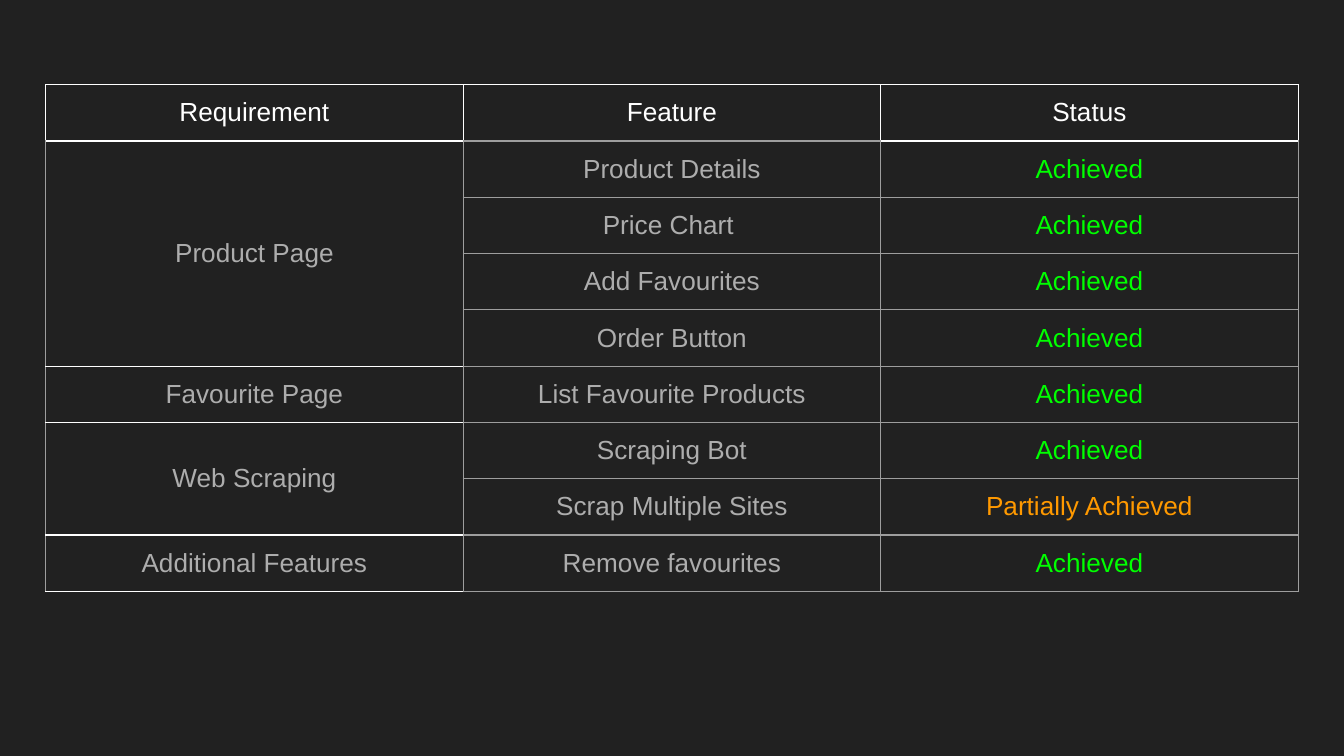
from lxml import etree
from pptx import Presentation
from pptx.dml.color import RGBColor
from pptx.enum.text import MSO_ANCHOR, PP_ALIGN
from pptx.oxml.ns import qn
from pptx.util import Inches, Pt

MIDDLE = MSO_ANCHOR.MIDDLE
CENTER = PP_ALIGN.CENTER

COLORS = {
    "background": "212121",
    "header": "FFFFFF",
    "body": "ADADAD",
    "grid": "9E9E9E",
    "Achieved": "00FF00",
    "Partially Achieved": "FF9900",
}
HEADINGS = ("Requirement", "Feature", "Status")
REQUIREMENTS = {
    "Product Page": [
        ("Product Details", "Achieved"),
        ("Price Chart ", "Achieved"),
        ("Add Favourites", "Achieved"),
        ("Order Button", "Achieved"),
    ],
    "Favourite Page": [("List Favourite Products", "Achieved")],
    "Web Scraping": [
        ("Scraping Bot", "Achieved"),
        ("Scrap Multiple Sites", "Partially Achieved"),
    ],
    "Additional Features": [("Remove favourites", "Achieved")],
}
CELL_FORMAT = {
    "vertical_anchor": MIDDLE,
    "margin_left": Inches(0.1),
    "margin_right": Inches(0.1),
    "margin_top": Inches(0.1),
    "margin_bottom": Inches(0.1),
}
FONT_FORMAT = {"name": "Arial", "size": Pt(14), "bold": False}


def edge_colors(row, column):
    """Return the colour name of each edge of a cell."""
    edges = dict.fromkeys("LRTB", "grid")
    if row == 0:
        edges.update(dict.fromkeys("LRT", "header"))
    if column == 0 or (row == 0 and column == 2):
        edges.update(T="header", B="header")
    if row == 1 and column == 2:
        edges["T"] = "header"
    return edges


def style_cell(cell, edges):
    """Set the margins, borders and empty fill of a cell."""
    for attribute, value in CELL_FORMAT.items():
        setattr(cell, attribute, value)
    properties = cell._tc.get_or_add_tcPr()
    for side, color in edges.items():
        line = etree.SubElement(properties, qn(f"a:ln{side}"), w=str(Pt(0.75)))
        fill = etree.SubElement(line, qn("a:solidFill"))
        etree.SubElement(fill, qn("a:srgbClr"), val=COLORS[color])
    cell.fill.background()


def write_cell(cell, text, color):
    """Write centred text of the named colour into a cell."""
    paragraph = cell.text_frame.paragraphs[0]
    paragraph.alignment = CENTER
    run = paragraph.add_run()
    run.text = text
    for attribute, value in FONT_FORMAT.items():
        setattr(run.font, attribute, value)
    run.font.color.rgb = RGBColor.from_string(COLORS[color])


def add_status_table(slide, left, top, width, row_height):
    """Place the table of requirements, features and their status."""
    row_count = 1 + sum(len(features) for features in REQUIREMENTS.values())
    table = slide.shapes.add_table(
        row_count, len(HEADINGS), Inches(left), Inches(top),
        Inches(width), Inches(row_height * row_count),
    ).table
    table.first_row = False
    table.horz_banding = False

    for row in range(row_count):
        for column in range(len(HEADINGS)):
            style_cell(table.cell(row, column), edge_colors(row, column))
    for column, heading in enumerate(HEADINGS):
        write_cell(table.cell(0, column), heading, "header")

    first = 1
    for requirement, features in REQUIREMENTS.items():
        last = first + len(features) - 1
        if last > first:
            table.cell(first, 0).merge(table.cell(last, 0))
        write_cell(table.cell(first, 0), requirement, "body")
        for row, (feature, status) in enumerate(features, first):
            write_cell(table.cell(row, 1), feature, "body")
            write_cell(table.cell(row, 2), status, status)
        first = last + 1


def main():
    """Build and save the slide."""
    presentation = Presentation()
    presentation.slide_width = Inches(10)
    presentation.slide_height = presentation.slide_width * 9 // 16
    slide = presentation.slides.add_slide(presentation.slide_layouts[6])
    background = slide.background.fill
    background.solid()
    background.fore_color.rgb = RGBColor.from_string(COLORS["background"])
    add_status_table(slide, 0.34, 0.63, 9.32, 0.4)
    presentation.save("out.pptx")


if __name__ == "__main__":
    main()
